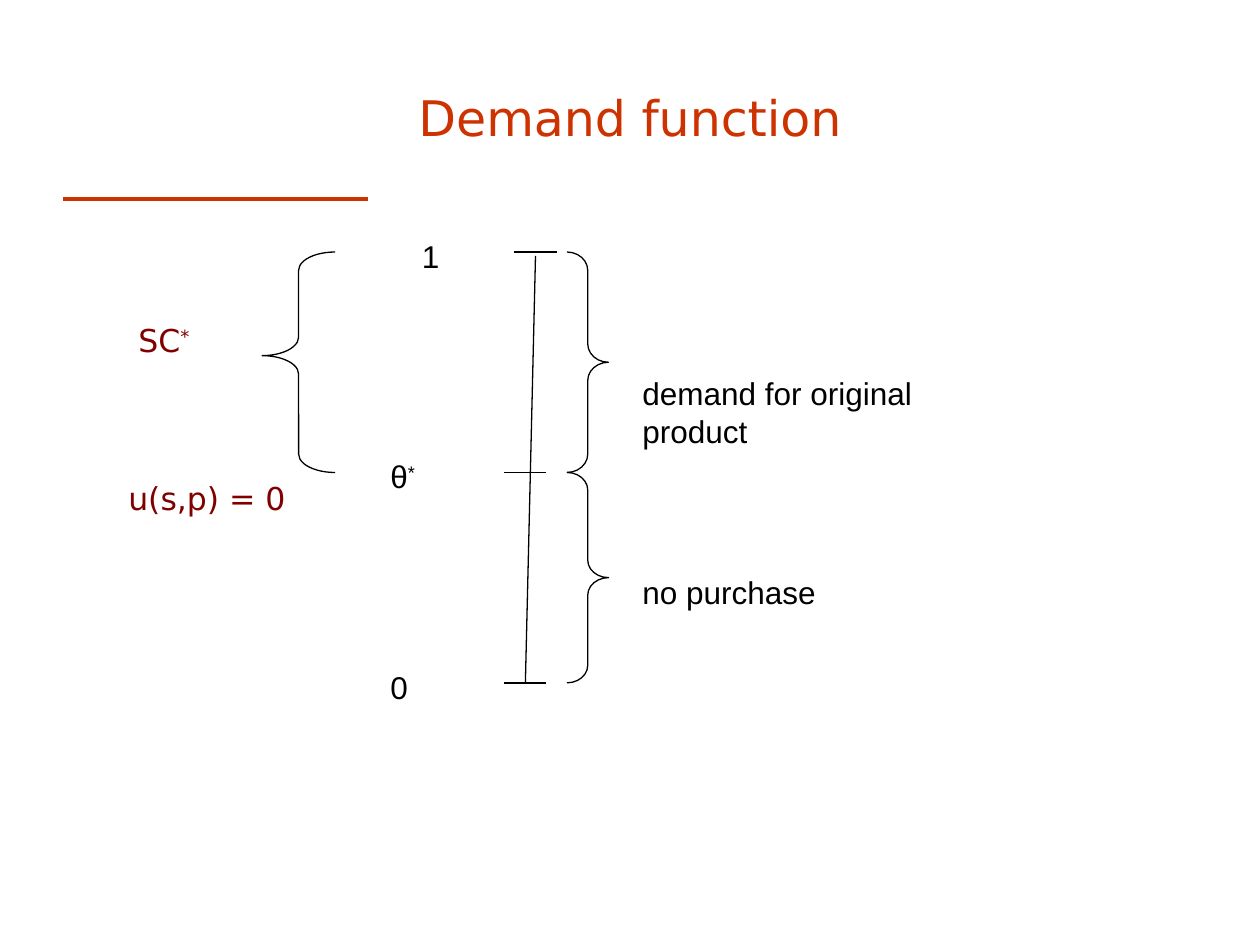
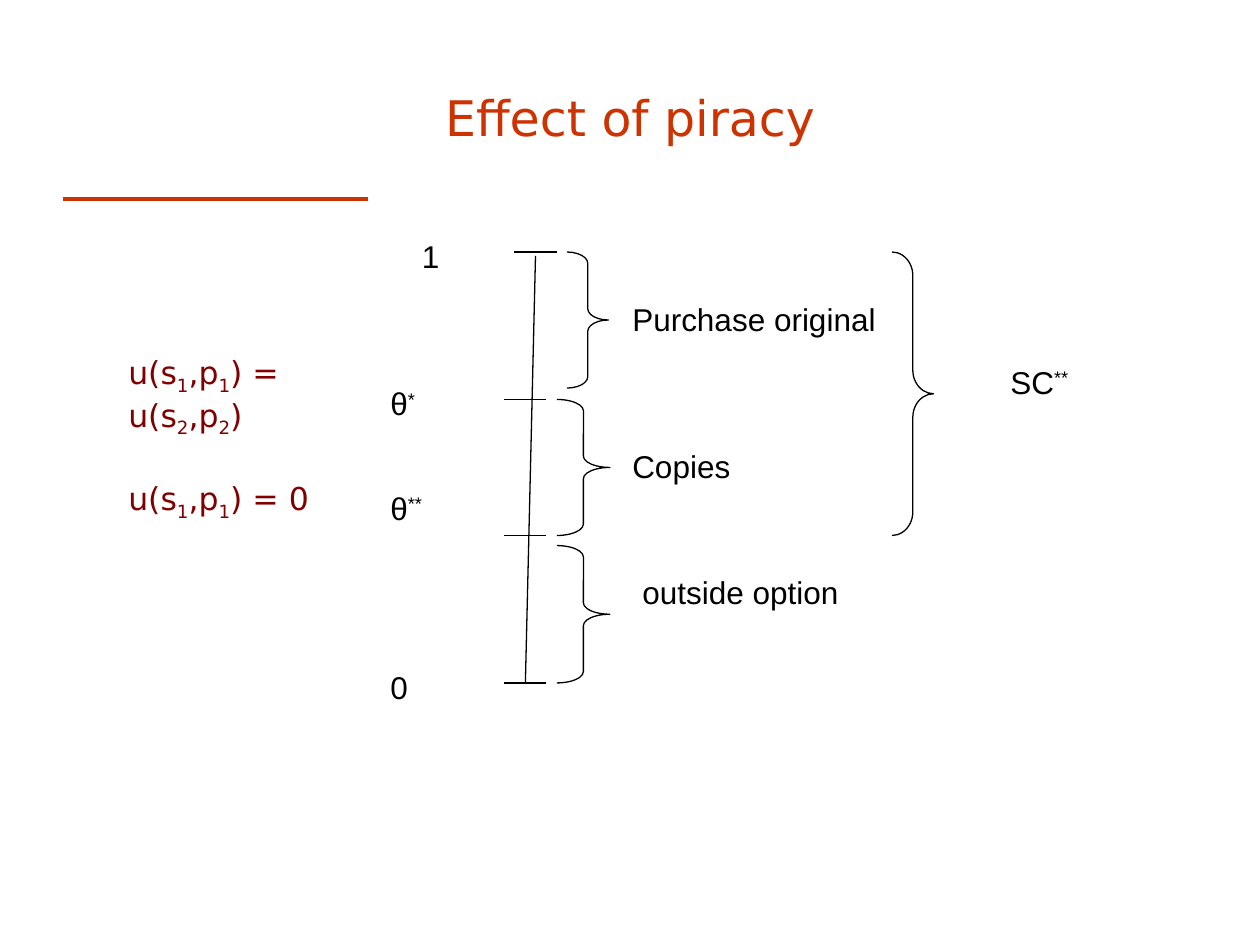
from lxml.etree import SubElement
from pptx import Presentation
from pptx.dml.color import RGBColor
from pptx.enum.shapes import MSO_CONNECTOR, MSO_SHAPE
from pptx.enum.text import MSO_ANCHOR, PP_ALIGN
from pptx.oxml.ns import qn
from pptx.util import Inches, Pt

color = RGBColor.from_string
RED, MAROON, BLACK = "CC3300", "800000", "000000"
TITLE = {"name": "DejaVu Sans", "size": Pt(28)}
FORMULA = {"name": "DejaVu Sans", "size": Pt(18)}
LABEL = {"name": "Arial", "size": Pt(18)}
TOP, BOTTOM = 2, 5.42


def add_text(slide, text, left, top, width, height, font_values, hex_color):
    shape = slide.shapes.add_textbox(Inches(left), Inches(top), Inches(width), Inches(height))
    shape.text_frame.word_wrap = True
    paragraph = shape.text_frame.paragraphs[0]
    for index, part in enumerate(text.split("|")):
        run = paragraph.add_run()
        run.text = part
        for name, value in font_values.items():
            setattr(run.font, name, value)
        run.font.color.rgb = color(hex_color)
        if index % 2:
            baseline = "30000" if "*" in part else "-25000"
            run.font._element.set("baseline", baseline)
    return shape


def add_line(slide, start_x, start_y, end_x, end_y, hex_color=BLACK, width=0.75):
    points = [Inches(value) for value in (start_x, start_y, end_x, end_y)]
    connector = slide.shapes.add_connector(MSO_CONNECTOR.STRAIGHT, *points)
    connector.line.color.rgb = color(hex_color)
    connector.line.width = Pt(width)
    SubElement(connector._element.spPr, qn("a:effectLst"))


# Script parts of a label stand between bars; each brace is left, top, width, bottom, tip.
slides = [
    {
        "title": "Demand function",
        "ticks": [3.75],
        "right braces": [(4.5, 3.75, 0.33, BOTTOM), (4.5, TOP, 0.33, 3.75)],
        "left braces": [(2.08, TOP, 0.58, 3.75)],
        "labels": [
            ("θ|*", 3, 3.58, 0.67, 0.4),
            ("demand for original product", 5, 2.92, 2.83, 0.7),
            ("no purchase", 5, 4.5, 2.25, 0.4),
        ],
        "formulas": [
            ("SC|*", 1, 2.5, 1.83, 0.4),
            ("u(s,p) = 0", 0.92, 3.75, 1.83, 0.4),
        ],
    },
    {
        "title": "Effect of piracy",
        "ticks": [3.17, 4.25],
        "right braces": [
            (4.5, TOP, 0.33, 3.08),
            (4.42, 3.17, 0.42, 4.25),
            (4.42, 4.33, 0.42, BOTTOM),
            (7.08, TOP, 0.33, 4.25),
        ],
        "left braces": [],
        "labels": [
            ("θ|*", 3, 3, 0.67, 0.4),
            ("θ|**", 3, 3.83, 0.67, 0.4),
            ("Purchase original", 4.92, 2.33, 2.83, 0.4),
            ("Copies", 4.92, 3.5, 2.83, 0.4),
            ("outside option", 5, 4.5, 2.25, 0.4),
            ("SC|**", 7.92, 2.83, 1, 0.4),
        ],
        "formulas": [
            ("u(s|1|,p|1|) = u(s|2|,p|2|)", 0.92, 2.75, 1.83, 0.78),
            ("u(s|1|,p|1|) = 0", 0.92, 3.75, 1.83, 0.44),
        ],
    },
]
axis_labels = [("1", 3.25, 1.83, 0.67, 0.4), ("0", 3, 5.25, 0.67, 0.4)]

presentation = Presentation()
presentation.slide_width = Inches(10)
presentation.slide_height = Inches(7.5)

for content in slides:
    slide = presentation.slides.add_slide(presentation.slide_layouts[6])
    title = add_text(slide, content["title"], 0.5, 0.3, 9, 1.25, TITLE, RED)
    title.text_frame.vertical_anchor = MSO_ANCHOR.MIDDLE
    title.text_frame.paragraphs[0].alignment = PP_ALIGN.CENTER
    add_line(slide, 0.5, 1.58, 2.92, 1.58, RED, 2)

    add_line(slide, 4.17, BOTTOM, 4.25, 2.03)
    add_line(slide, 4.08, TOP, 4.42, TOP)
    for tick in content["ticks"] + [BOTTOM]:
        add_line(slide, 4, tick, 4.33, tick)

    for kind, preset, tip in (
        ("right braces", MSO_SHAPE.RIGHT_BRACE, 0.5),
        ("left braces", MSO_SHAPE.LEFT_BRACE, 0.47),
    ):
        for left, top, width, bottom in content[kind]:
            height = bottom - top
            brace = slide.shapes.add_shape(
                preset, Inches(left), Inches(top), Inches(width), Inches(height)
            )
            brace.shadow.inherit = False
            brace.fill.background()
            brace.line.color.rgb = color(BLACK)
            brace.line.width = Pt(0.75)
            brace.adjustments[0] = height / 12 / width
            brace.adjustments[1] = tip

    for label in axis_labels + content["labels"]:
        add_text(slide, *label, LABEL, BLACK)
    for formula in content["formulas"]:
        add_text(slide, *formula, FORMULA, MAROON)

presentation.save("out.pptx")
